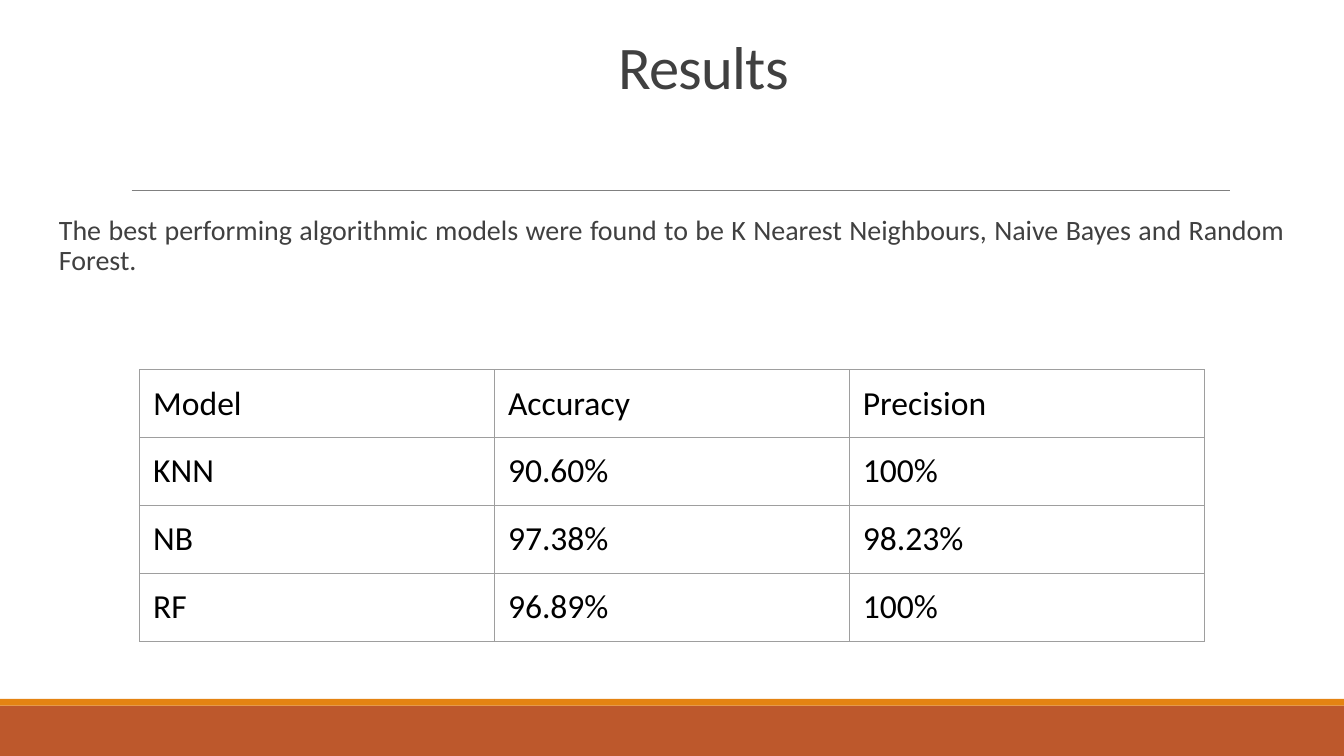
"""Build the results slide with its table of model scores."""
from dataclasses import dataclass

from lxml.etree import SubElement as Sub
from pptx import Presentation
from pptx.dml.color import RGBColor as Rgb
from pptx.enum.shapes import MSO_CONNECTOR as Link, MSO_SHAPE as Form
from pptx.enum.text import MSO_ANCHOR as Anchor, MSO_AUTO_SIZE as Fit, PP_ALIGN as Align
from pptx.oxml.ns import qn
from pptx.util import Inches, Pt


@dataclass(frozen=True)
class Theme:
    """Colours and type sizes."""
    font: str = "Calibri"
    ink: str = "404040"
    cell: str = "000000"
    grid: str = "9E9E9E"
    rule: str = "808080"
    rust: str = "BD582C"
    amber: str = "E48312"
    head: float = 32.4
    body: float = 15
    data: float = 18


@dataclass(frozen=True)
class Box:
    """A place on the slide in inches."""
    left: float
    top: float
    width: float
    height: float

    def emu(self) -> tuple:
        """Give the place as lengths."""
        return tuple(map(Inches, (self.left, self.top, self.width, self.height)))


@dataclass(frozen=True)
class Band:
    """A filled strip."""
    box: Box
    fill: str


@dataclass(frozen=True)
class Text:
    """One styled paragraph."""
    words: str
    size: float
    color: str
    align: Align = Align.LEFT
    lead: float = 1.0
    after: float = 0


THEME = Theme()
WIDE = 10
HIGH = WIDE * 9 / 16
INSET = Inches(0.1)
BANDS = (
    Band(Box(0, 5.25, WIDE, HIGH - 5.25), THEME.rust),
    Band(Box(0, 5.2, WIDE, 0.05), THEME.amber),
)
ROWS = (
    ("Model", "Accuracy", "Precision"),
    ("KNN", "90.60%", "100%"),
    ("NB", "97.38%", "98.23%"),
    ("RF", "96.89%", "100%"),
)


def draw_band(slide, band: Band) -> None:
    """Draw a strip with no outline."""
    shape = slide.shapes.add_shape(Form.RECTANGLE, *band.box.emu())
    shape.shadow.inherit = False
    shape.fill.solid()
    shape.fill.fore_color.rgb = Rgb.from_string(band.fill)
    shape.line.fill.background()


def draw_rule(slide, left: float, right: float, top: float) -> None:
    """Draw the thin line under the title."""
    line = slide.shapes.add_connector(
        Link.STRAIGHT, Inches(left), Inches(top), Inches(right), Inches(top))
    line.line.color.rgb = Rgb.from_string(THEME.rule)
    line.line.width = Pt(0.5)
    Sub(line._element.spPr, qn("a:effectLst"))


def write(frame, text: Text) -> None:
    """Fill a text frame with one paragraph."""
    frame.text = text.words
    para = frame.paragraphs[0]
    para.alignment = text.align
    para.line_spacing = text.lead
    para.space_before = Pt(0)
    para.space_after = Pt(text.after)
    para.font.name = THEME.font
    para.font.size = Pt(text.size)
    para.font.color.rgb = Rgb.from_string(text.color)


def pad(item) -> None:
    """Set equal insets on a frame or cell."""
    item.margin_left = item.margin_right = INSET
    item.margin_top = item.margin_bottom = INSET


def place(shape, box: Box, text: Text) -> None:
    """Set a shape's place and its wrapped text."""
    shape.left, shape.top, shape.width, shape.height = box.emu()
    frame = shape.text_frame
    pad(frame)
    frame.word_wrap = True
    frame.auto_size = Fit.NONE
    frame.vertical_anchor = Anchor.TOP
    write(frame, text)


def edge(cell) -> None:
    """Line all four sides of a cell."""
    props = cell._tc.get_or_add_tcPr()
    for side in ("lnL", "lnR", "lnT", "lnB"):
        line = Sub(props, qn(f"a:{side}"), w=str(Pt(0.75)))
        fill = Sub(line, qn("a:solidFill"))
        Sub(fill, qn("a:srgbClr"), val=THEME.grid)


def draw_table(slide, box: Box, rows: tuple) -> None:
    """Draw the grid of scores."""
    frame = slide.shapes.add_table(len(rows), len(rows[0]), *box.emu())
    table = frame.table
    table.first_row = table.horz_banding = False
    for r, row in enumerate(rows):
        for c, words in enumerate(row):
            cell = table.cell(r, c)
            pad(cell)
            edge(cell)
            cell.fill.background()
            write(cell.text_frame, Text(words, THEME.data, THEME.cell))


def main() -> None:
    """Build and save the slide."""
    deck = Presentation()
    deck.slide_width, deck.slide_height = Inches(WIDE), Inches(HIGH)
    slide = deck.slides.add_slide(deck.slide_layouts[5])
    for band in BANDS:
        draw_band(slide, band)
    draw_rule(slide, 0.98, 9.15, 1.42)
    title = slide.shapes.title
    place(title, Box(0.81, 0.2, 8.85, 0.63),
          Text("Results", THEME.head, THEME.ink, Align.CENTER, 0.85))
    title.text_frame.paragraphs[0].font._element.set("spc", "-40")
    box = Box(0.34, 1.51, 9.32, 3.74)
    place(slide.shapes.add_textbox(*box.emu()), box,
          Text("The best performing algorithmic models were found to be "
               "K Nearest Neighbours, Naive Bayes and Random Forest.",
               THEME.body, THEME.ink, Align.JUSTIFY, 0.9, 12))
    draw_table(slide, Box(1.04, 2.75, 7.92, 1.68), ROWS)
    deck.save("out.pptx")


if __name__ == "__main__":
    main()
